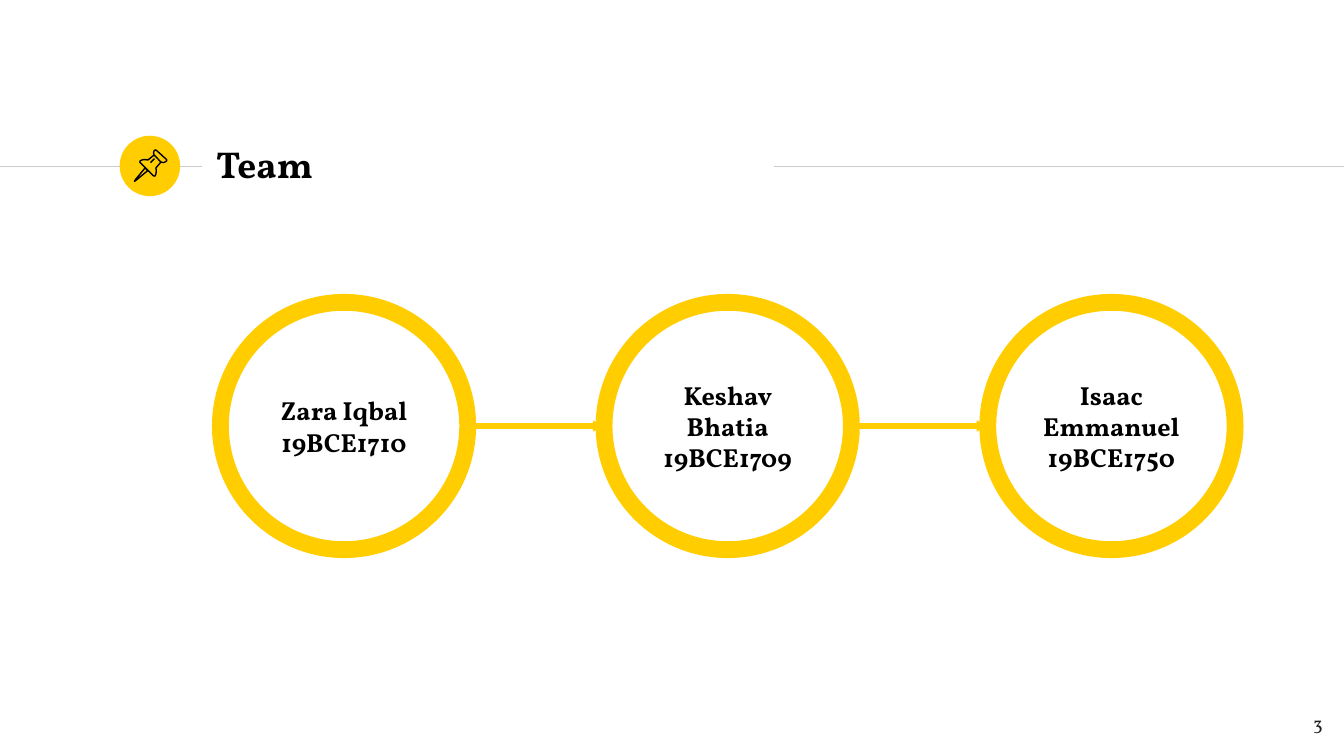
from dataclasses import dataclass

from lxml import etree
from pptx import Presentation
from pptx import util as u
from pptx.dml.color import RGBColor
from pptx.enum import shapes, text
from pptx.oxml.ns import qn

YELLOW = RGBColor(0xFF, 0xCD, 0x00)
GRAY = RGBColor(0xCC, 0xCC, 0xCC)
BLACK = RGBColor(0x00, 0x00, 0x00)
INK = RGBColor(0x1D, 0x1D, 0x1B)
FONT = "Vollkorn"

RULE_Y = 1.24
RING_TOP, RING_SIZE = 2.25, 1.84
FIRST_LEFT, LAST_LEFT = 1.64, 7.35


@dataclass
class Member:
    name: str
    number: str


@dataclass
class Stroke:
    points: list[tuple[int, int]]
    closed: bool = False


TEAM = [
    Member("Zara Iqbal", "19BCE1710"),
    Member("Keshav Bhatia", "19BCE1709"),
    Member("Isaac Emmanuel", "19BCE1750"),
]

PIN = [
    Stroke([(1080, 1250), (1010, 1335), (1000, 1350), (1015, 1340), (1100, 1270)], True),
    Stroke([(1147, 1153), (1197, 1206), (1215, 1210), (1230, 1205), (1240, 1197),
            (1240, 1188), (1165, 1120), (1155, 1115), (1147, 1122), (1142, 1137)], True),
    Stroke([(1147, 1153), (1100, 1191), (1080, 1187), (1060, 1189), (1043, 1197),
            (1040, 1207), (1143, 1309), (1153, 1310), (1160, 1295), (1163, 1270),
            (1160, 1250), (1197, 1206)]),
    Stroke([(1120, 1210), (1150, 1180)]),
]


def add_line(s, x1: float, x2: float, y: float, color: RGBColor, width: float,
             arrow: bool = False) -> None:
    cxn = s.shapes.add_connector(shapes.MSO_CONNECTOR.STRAIGHT, u.Inches(x1),
                                 u.Inches(y), u.Inches(x2), u.Inches(y))
    cxn.line.color.rgb = color
    cxn.line.width = u.Pt(width)
    if arrow:
        ln = cxn.line._get_or_add_ln()
        etree.SubElement(ln, qn("a:tailEnd"), type="triangle", w="sm", len="sm")
    etree.SubElement(cxn._element.spPr, qn("a:effectLst"))


def add_circle(s, x: float, y: float, size: float):
    sp = s.shapes.add_shape(shapes.MSO_SHAPE.OVAL, u.Inches(x), u.Inches(y),
                            u.Inches(size), u.Inches(size))
    sp.shadow.inherit = False
    return sp


def add_stroke(s, stroke: Stroke) -> None:
    fb = s.shapes.build_freeform(*stroke.points[0], scale=u.Inches(1) / 1000)
    fb.add_line_segments(stroke.points[1:], close=stroke.closed)
    sp = fb.convert_to_shape()
    sp.shadow.inherit = False
    sp.fill.background()
    sp.line.color.rgb = BLACK
    sp.line.width = u.Pt(0.75)


def write(sp, lines: list[str], size: float, align, anchor,
          color: RGBColor = BLACK, bold: bool = True) -> None:
    tf = sp.text_frame
    tf.word_wrap = True
    tf.vertical_anchor = anchor
    tf.margin_left = tf.margin_right = tf.margin_top = tf.margin_bottom = u.Inches(0.1)
    for i, line in enumerate(lines):
        p = tf.add_paragraph() if i else tf.paragraphs[0]
        p.alignment = align
        r = p.add_run()
        r.text = line
        r.font.name = FONT
        r.font.size = u.Pt(size)
        r.font.bold = bold
        r.font.color.rgb = color


def add_text(s, x: float, y: float, w: float, h: float):
    return s.shapes.add_textbox(u.Inches(x), u.Inches(y), u.Inches(w), u.Inches(h))


def add_member(s, x: float, member: Member) -> None:
    sp = add_circle(s, x, RING_TOP, RING_SIZE)
    sp.fill.background()
    sp.line.color.rgb = YELLOW
    sp.line.width = u.Pt(9)
    write(sp, [member.name, member.number], 14,
          text.PP_ALIGN.CENTER, text.MSO_ANCHOR.MIDDLE)


def main() -> None:
    prs = Presentation()
    prs.slide_width = u.Inches(10)
    prs.slide_height = u.Inches(10 * 9 / 16)
    s = prs.slides.add_slide(prs.slide_layouts[6])

    add_line(s, 0, 1.5, RULE_Y, GRAY, 0.75)
    badge = add_circle(s, 0.89, 1.01, 0.45)
    badge.fill.solid()
    badge.fill.fore_color.rgb = YELLOW
    badge.line.fill.background()
    add_line(s, 5.76, 10, RULE_Y, GRAY, 0.75)

    write(add_text(s, 1.51, 0.98, 4.24, 0.48), ["Team"], 20,
          text.PP_ALIGN.LEFT, text.MSO_ANCHOR.MIDDLE)
    for stroke in PIN:
        add_stroke(s, stroke)

    step = (LAST_LEFT - FIRST_LEFT) / (len(TEAM) - 1)
    lefts = [FIRST_LEFT + i * step for i in range(len(TEAM))]
    for x, member in zip(lefts, TEAM):
        add_member(s, x, member)
    for x, following in zip(lefts, lefts[1:]):
        add_line(s, x + RING_SIZE, following, RING_TOP + RING_SIZE / 2, YELLOW, 3, True)

    write(add_text(s, 9.34, 5.21, 0.6, 0.41), ["3"], 10,
          text.PP_ALIGN.RIGHT, text.MSO_ANCHOR.TOP, INK, False)
    prs.save("out.pptx")


if __name__ == "__main__":
    main()
